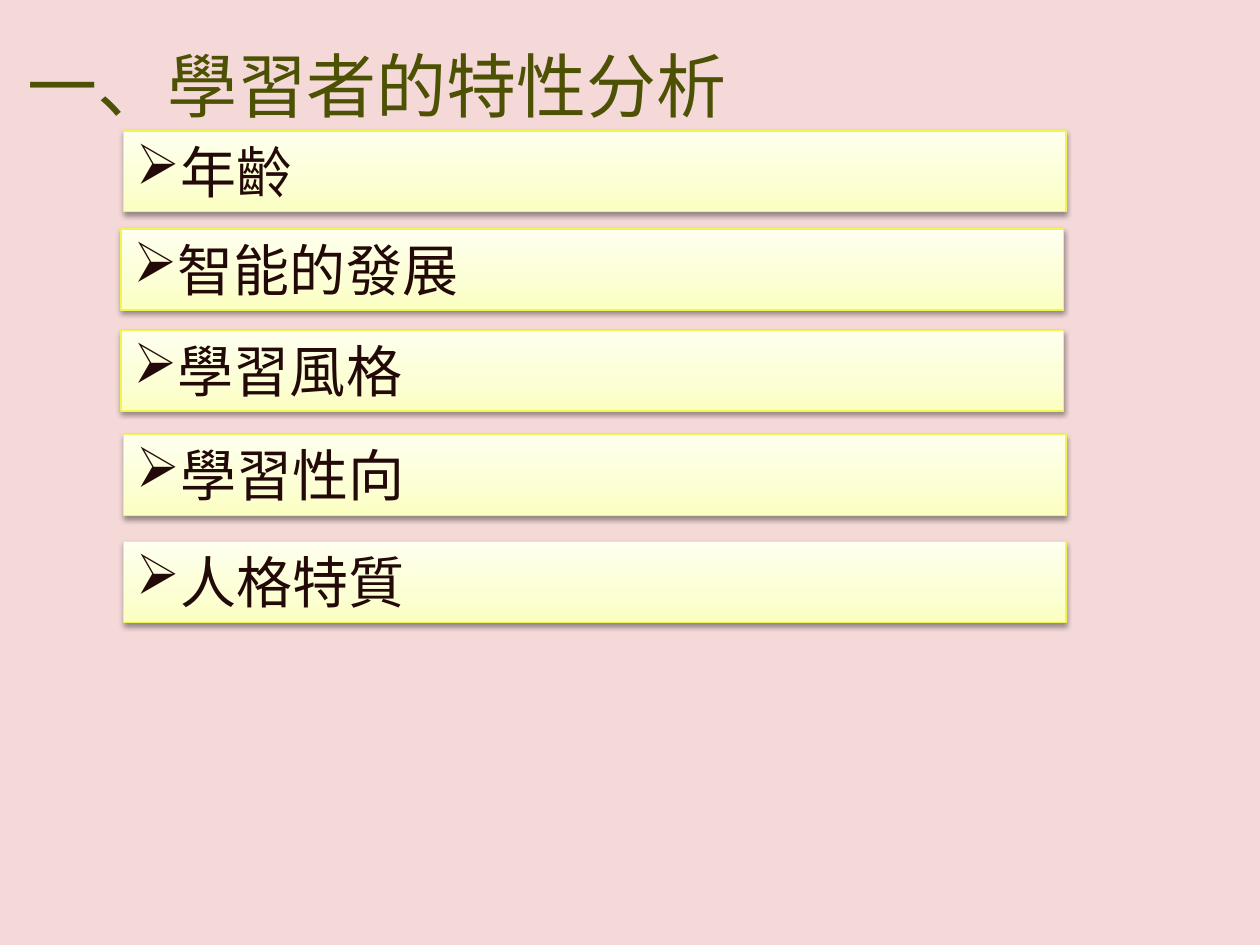
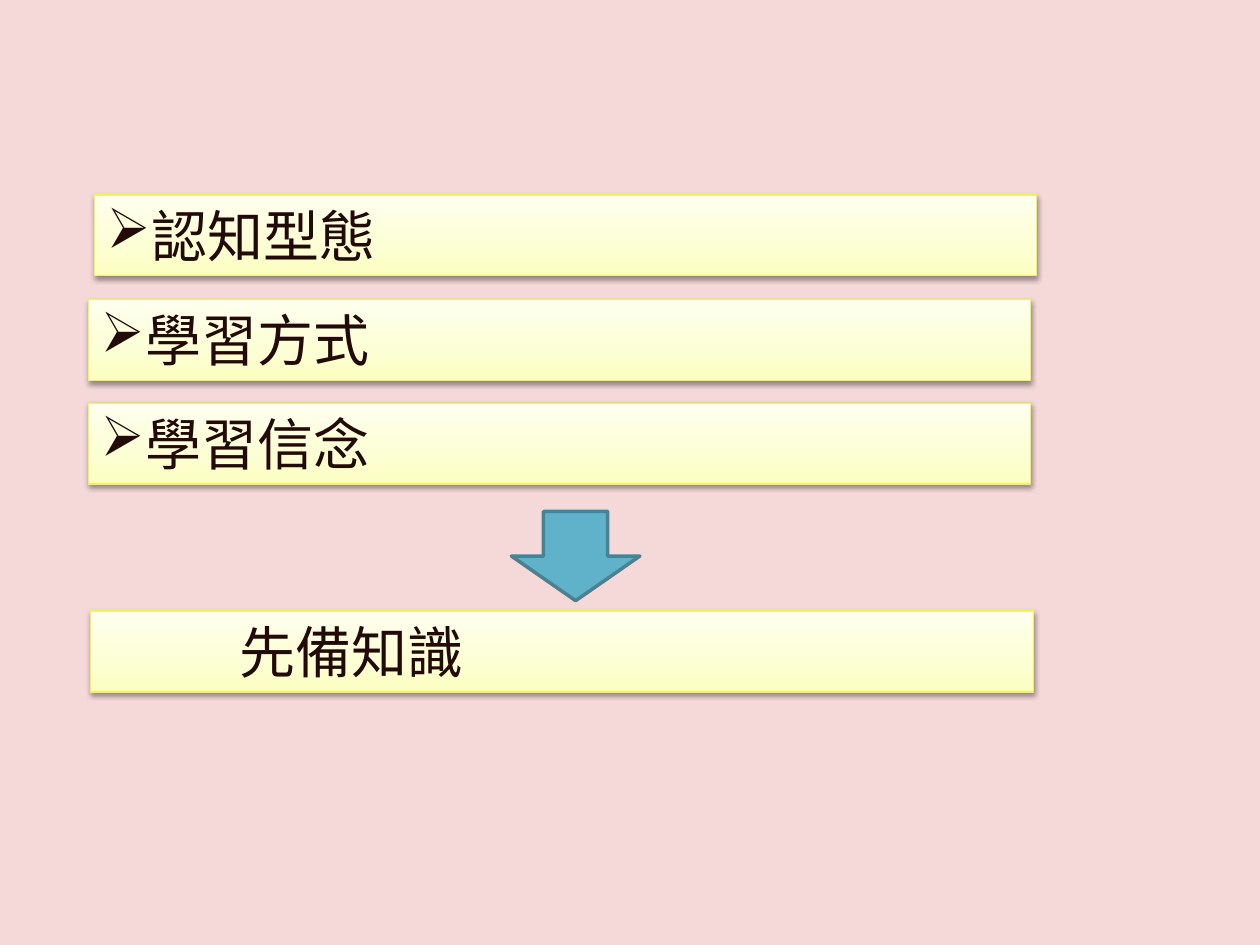
from pptx import Presentation
from pptx.dml.color import RGBColor
from pptx.enum.shapes import MSO_SHAPE as SHAPE
from pptx.enum.text import MSO_ANCHOR, MSO_AUTO_SIZE as AUTO_SIZE, PP_ALIGN
from pptx.oxml import parse_xml
from pptx.oxml.ns import nsdecls, qn
from pptx.oxml.xmlchemy import OxmlElement
from pptx.util import Cm, Pt

FONT = "Noto Sans CJK SC"
BACKGROUND, TITLE_COLOR, TEXT_COLOR = "F5D9D9", "4D5103", "240909"
BAR_LINE, ARROW_FILL, ARROW_LINE = "EFF653", "5FB2C9", "468495"
BAR_STOPS = [(0, "FBFFC0"), (35, "FCFFD3"), (100, "FEFFEE")]
BAR_W, BAR_H = 19, 1.63
BULLET, BULLET_INDENT = "➢", 0.8
CONCLUSION_INDENT = 2.75

# Bars: text, left and top in cm
TITLE = "一、學習者的特性分析"
TRAITS = [
    ("年齡", 2.49, 2.64),
    ("智能的發展", 2.44, 4.62),
    ("學習風格", 2.44, 6.66),
    ("學習性向", 2.49, 8.76),
    ("人格特質", 2.49, 10.92),
]
LEARNING = [
    ("認知型態", 1.9, 3.93),
    ("學習方式", 1.78, 6.04),
    ("學習信念", 1.78, 8.13),
]
CONCLUSION = ("先備知識", 1.83, 12.32)
ARROW_BOX = (10.31, 10.31, 2.59, 1.8)


def rgb(color):
    return RGBColor.from_string(color)


def write(s, text, size, color):
    tf = s.text_frame
    tf.word_wrap = True
    tf.auto_size = AUTO_SIZE.SHAPE_TO_FIT_TEXT
    tf.vertical_anchor = MSO_ANCHOR.TOP
    p = tf.paragraphs[0]
    p.text = text
    p.alignment = PP_ALIGN.LEFT
    p.font.size = Pt(size)
    p.font.name = FONT
    p.font.color.rgb = rgb(color)
    east_asian = OxmlElement("a:ea")
    east_asian.set("typeface", FONT)
    p.font._element.find(qn("a:latin")).addnext(east_asian)
    return p


def indent(p, left, first=0):
    pPr = p._p.get_or_add_pPr()
    pPr.set("marL", str(Cm(left)))
    pPr.set("indent", str(Cm(first)))
    return pPr


def add_bullet(p):
    pPr = indent(p, BULLET_INDENT, -BULLET_INDENT)
    bullet = OxmlElement("a:buChar")
    bullet.set("char", BULLET)
    pPr.find(qn("a:defRPr")).addprevious(bullet)


def add_shape(slide, kind, box, line, width):
    s = slide.shapes.add_shape(kind, *map(Cm, box))
    s.shadow.inherit = False
    s.line.color.rgb = rgb(line)
    s.line.width = Pt(width)
    return s


def add_bar(slide, text, left, top):
    """Add a gradient bar with a soft shadow and return its paragraph."""
    s = add_shape(slide, SHAPE.RECTANGLE, (left, top, BAR_W, BAR_H), BAR_LINE, 0.75)
    stops = "".join(
        f'<a:gs pos="{pos * 1000}"><a:srgbClr val="{color}"/></a:gs>'
        for pos, color in BAR_STOPS
    )
    spPr = s._element.spPr
    spPr.find(qn("a:prstGeom")).addnext(parse_xml(
        f'<a:gradFill {nsdecls("a")} rotWithShape="1"><a:gsLst>{stops}</a:gsLst>'
        '<a:lin ang="16200000" scaled="0"/></a:gradFill>'
    ))
    spPr.find(qn("a:effectLst")).append(parse_xml(
        f'<a:outerShdw {nsdecls("a")} blurRad="{Pt(3.1)}" dist="{Pt(1.6)}" '
        'dir="5400000" rotWithShape="0"><a:srgbClr val="000000">'
        '<a:alpha val="38000"/></a:srgbClr></a:outerShdw>'
    ))
    return write(s, text, 32, TEXT_COLOR)


def add_slide(prs, bars):
    slide = prs.slides.add_slide(prs.slide_layouts[6])
    fill = slide.background.fill
    fill.solid()
    fill.fore_color.rgb = rgb(BACKGROUND)
    for bar in bars:
        add_bullet(add_bar(slide, *bar))
    return slide


def main():
    prs = Presentation()
    prs.slide_width, prs.slide_height = Cm(25.4), Cm(19.05)

    slide = add_slide(prs, TRAITS)
    title = slide.shapes.add_textbox(Cm(0.3), Cm(0.74), Cm(16.66), Cm(1.96))
    write(title, TITLE, 40, TITLE_COLOR)

    slide = add_slide(prs, LEARNING)
    indent(add_bar(slide, *CONCLUSION), CONCLUSION_INDENT)
    arrow = add_shape(slide, SHAPE.DOWN_ARROW, ARROW_BOX, ARROW_LINE, 2)
    arrow.fill.solid()
    arrow.fill.fore_color.rgb = rgb(ARROW_FILL)

    prs.save("out.pptx")


if __name__ == "__main__":
    main()
